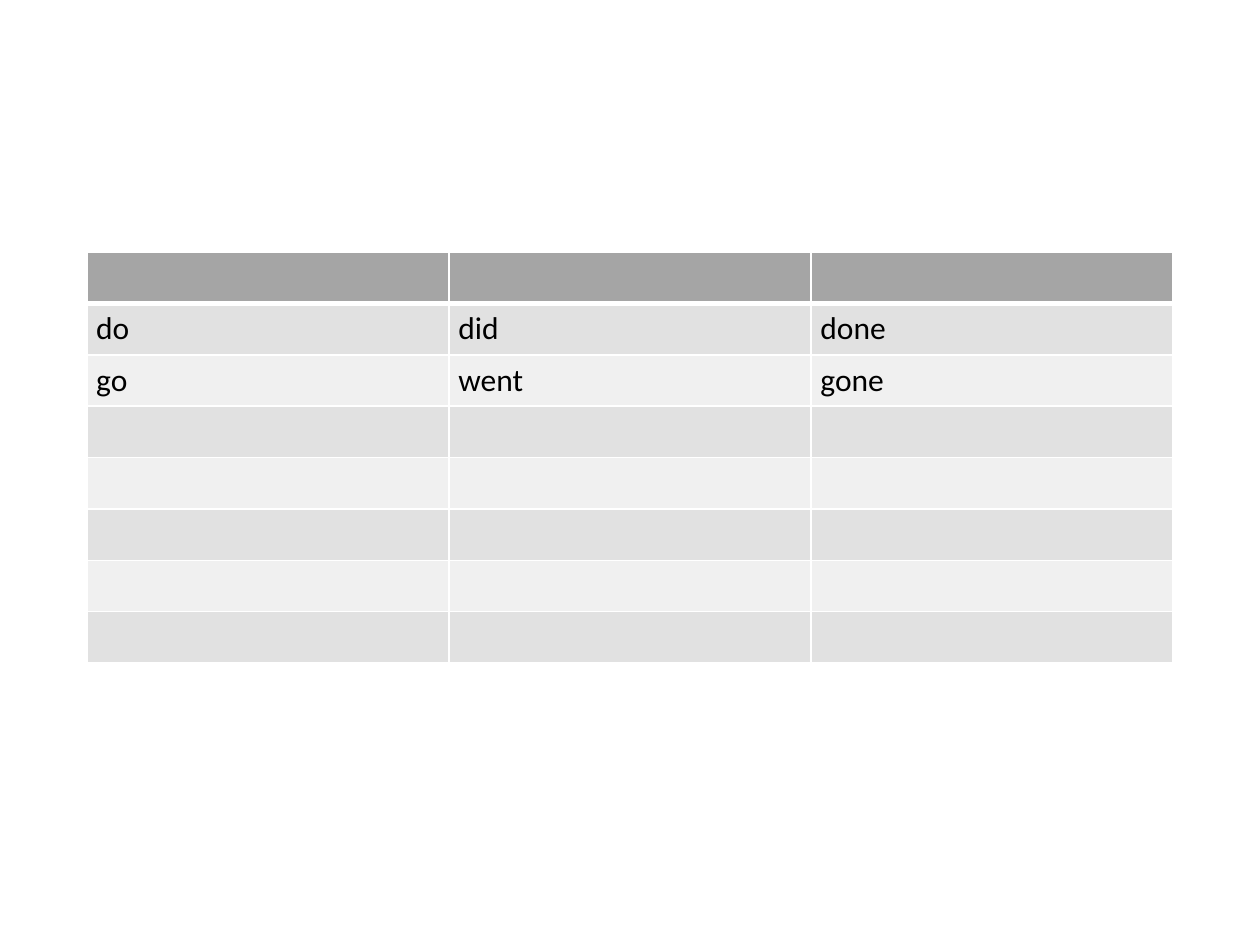
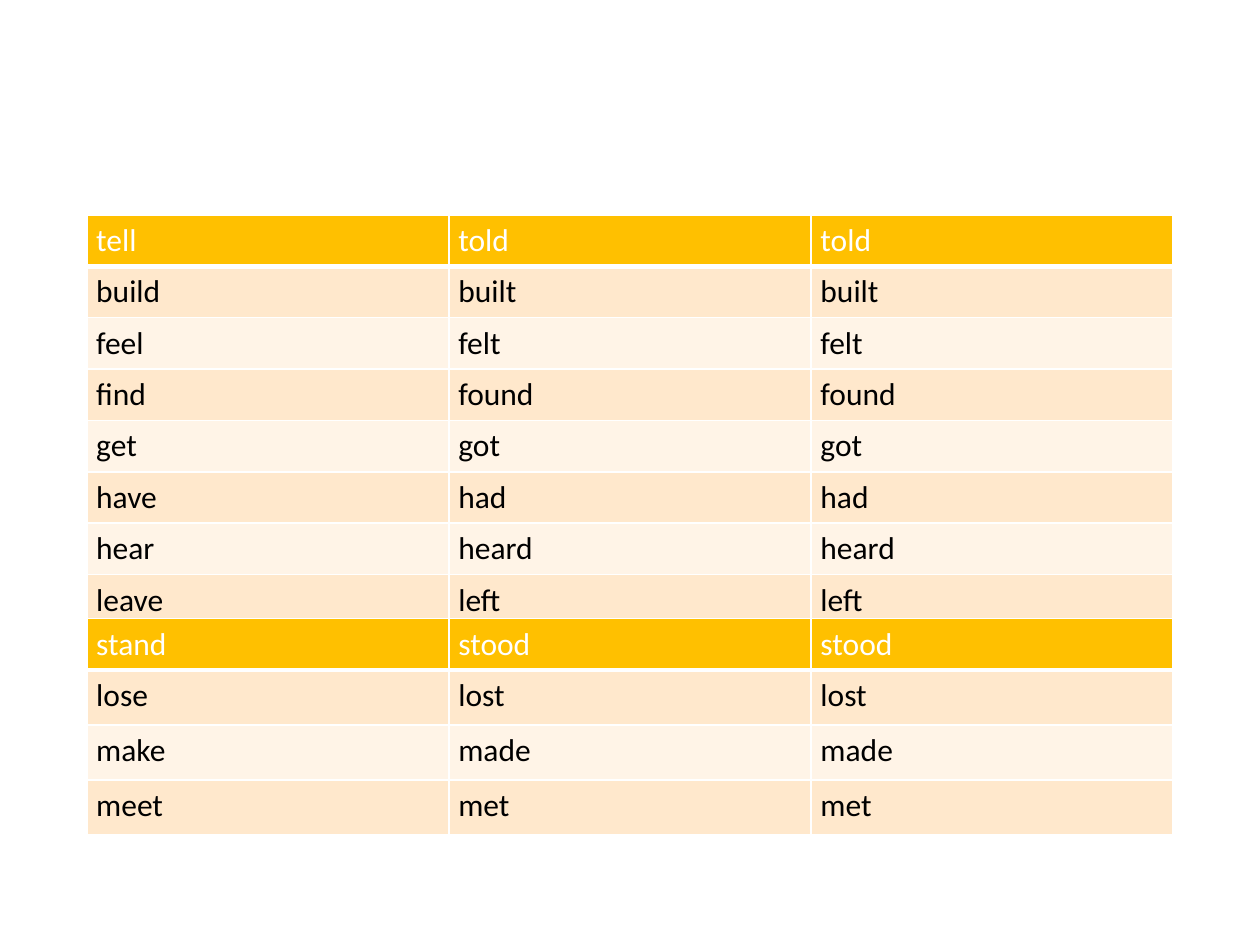
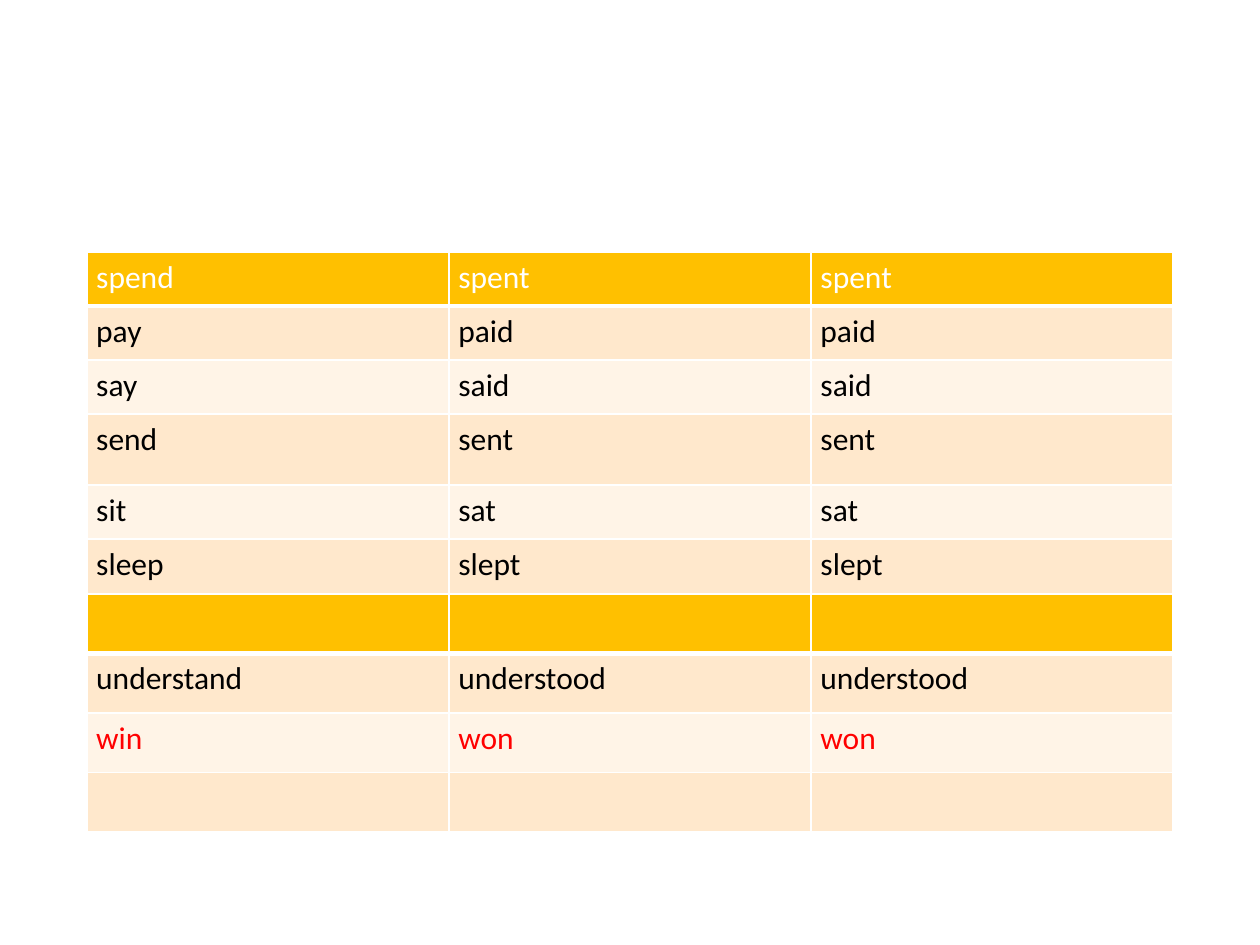
import pptx
import pptx.dml.color
import pptx.oxml
import pptx.oxml.ns
import pptx.util
from pptx.dml.color import RGBColor
from pptx.util import Cm

# Shared look
FONT = "Calibri"
WHITE = RGBColor(0xFF, 0xFF, 0xFF)
BLACK = RGBColor(0x00, 0x00, 0x00)
RED = RGBColor(0xFF, 0x00, 0x00)
# Each palette: header, odd rows, even rows
GREY_ROWS = (RGBColor(0xA5, 0xA5, 0xA5), RGBColor(0xE1, 0xE1, 0xE1), RGBColor(0xF0, 0xF0, 0xF0))
GOLD_ROWS = (RGBColor(0xFF, 0xC0, 0x00), RGBColor(0xFF, 0xE8, 0xCC), RGBColor(0xFF, 0xF4, 0xE7))

# Shared table grid
TABLE_LEFT = Cm(1.75)
FORM_WIDTH = Cm(7.3)
FORM_COUNT = 3  # base form, past simple, past participle

# Verbs
FIRST_VERBS = ["", "do did done", "go went gone", "", "", "", "", ""]
TELL_VERBS = ["tell told told", "build built built", "feel felt felt", "find found found",
              "get got got", "have had had", "hear heard heard", "leave left left"]
STAND_VERBS = ["stand stood stood", "lose lost lost", "make made made", "meet met met"]
SPEND_VERBS = ["spend spent spent", "pay paid paid", "say said said", "send sent sent",
               "sit sat sat", "sleep slept slept"]
LAST_VERBS = ["", "understand understood understood", "win won won", ""]


def write_text(frame, text, size=18, color=BLACK, bold=False):
    paragraph = frame.paragraphs[0]
    if text:
        paragraph.add_run().text = text
    for font in [paragraph.font] + [run.font for run in paragraph.runs]:
        font.name = FONT
        font.size = pptx.util.Pt(size)
        font.bold = bold
        font.color.rgb = color


def add_borders(cell, bottom):
    properties = cell._tc.get_or_add_tcPr()
    for side, width in (("L", 1), ("R", 1), ("T", 1), ("B", bottom)):
        properties.append(pptx.oxml.parse_xml(
            f'<a:ln{side} {pptx.oxml.ns.nsdecls("a")} w="{pptx.util.Pt(width)}">'
            f'<a:solidFill><a:srgbClr val="{WHITE}"/></a:solidFill></a:ln{side}>'))


def fill_cell(cell, text, fill, color, bottom):
    cell.margin_left = cell.margin_right = Cm(0.19)
    cell.margin_top = cell.margin_bottom = Cm(0.13)
    add_borders(cell, bottom)
    cell.fill.solid()
    cell.fill.fore_color.rgb = fill
    write_text(cell.text_frame, text, color=color)


def add_verb_table(slide, verbs, top, heights, palette=GOLD_ROWS, red_verbs=()):
    """Lay out one verb per row; the first row takes the header colours."""
    header, odd, even = palette
    table = slide.shapes.add_table(
        len(verbs), FORM_COUNT, TABLE_LEFT, Cm(top),
        FORM_WIDTH * FORM_COUNT, Cm(sum(heights))).table
    table.first_row = table.horz_banding = False
    for column in table.columns:
        column.width = FORM_WIDTH
    for index, (verb, height) in enumerate(zip(verbs, heights)):
        table.rows[index].height = Cm(height)
        forms = verb.split() or [""] * FORM_COUNT
        if index == 0:
            fill, color, bottom = header, WHITE, 3
        else:
            fill, bottom = (odd if index % 2 else even), 1
            color = RED if forms[0] in red_verbs else BLACK
        for cell, form in zip(table.rows[index].cells, forms):
            fill_cell(cell, form, fill, color, bottom)


def main():
    deck = pptx.Presentation()
    deck.slide_width, deck.slide_height = Cm(25.4), Cm(19.05)
    blank = deck.slide_layouts[6]

    # Slide 1: first verbs
    slide = deck.slides.add_slide(blank)
    add_verb_table(slide, FIRST_VERBS, 5.08, [1.03] * 8, palette=GREY_ROWS)

    # Slide 2: tell to meet
    slide = deck.slides.add_slide(blank)
    add_verb_table(slide, TELL_VERBS, 4.33, [1.03] * 8)
    add_verb_table(slide, STAND_VERBS, 12.47, [1.02] + [1.11] * 3)

    # Slide 3: spend to win
    slide = deck.slides.add_slide(blank)
    add_verb_table(slide, SPEND_VERBS, 5.08, [1.09] * 3 + [1.43] + [1.09] * 2)
    add_verb_table(slide, LAST_VERBS, 11.97, [1.2] * 4, red_verbs=("win",))

    deck.save("out.pptx")


if __name__ == "__main__":
    main()
